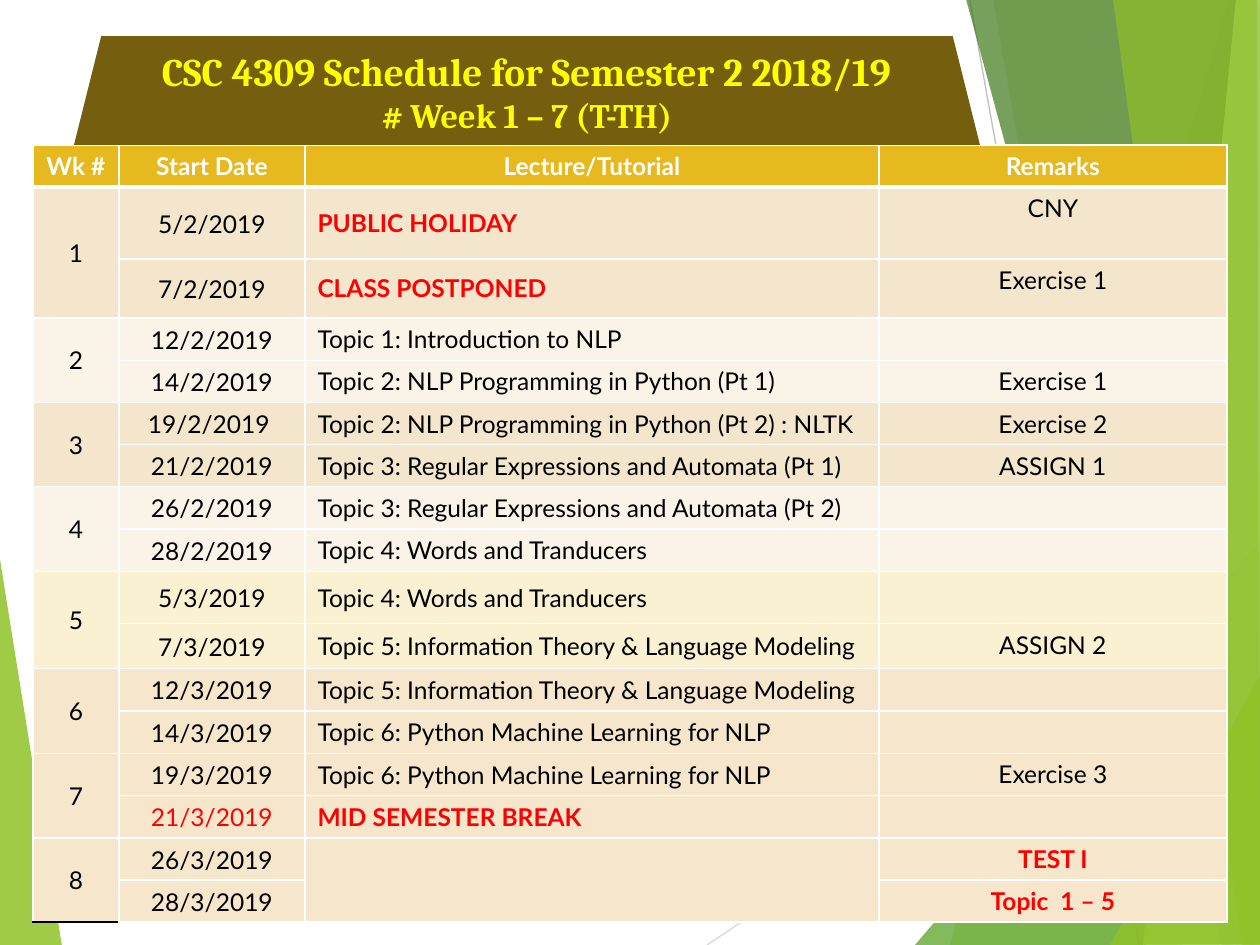
"""Build a course schedule slide with a table, a title banner and green facets."""
import pptx
import pptx.util
import pptx.dml.color
import pptx.enum.shapes
import pptx.enum.text
import pptx.oxml.ns
import lxml.etree

PX = 914400 / 126
GREEN, RED, BLACK, WHITE = "90C226", "FF0000", "000000", "FFFFFF"
TAN, CREAM, YELLOW = "F5E6CC", "FAF3E7", "FAF1D2"

FACETS_LEFT = [(GREEN, 85, [(-1, 553), (62, 946), (-1, 945)])]
LINES = [((707, 945), (1261, 576), "D9D9D9"), ((970, 0), (1139, 945), "BFBFBF")]
FACETS_RIGHT = [
    (GREEN, 30, [(1229, 0), (950, 945), (1262, 946), (1261, 1)]),
    (GREEN, 20, [(993, -1), (1158, 945), (1261, 945), (1261, -1)]),
    ("54A021", 72, [(915, 945), (1260, 541), (1261, 945)]),
    ("3F7819", 70, [(966, -1), (1222, 945), (1261, 944), (1261, -1)]),
    ("C0E474", 70, [(1236, -1), (1143, 945), (1261, 945), (1260, -1)]),
    (GREEN, 65, [(1113, -1), (1242, 945), (1260, 945), (1257, -1)]),
    (GREEN, 80, [(1110, 945), (1261, 674), (1261, 944)]),
]
TITLE = [("CSC 4309 Schedule for Semester 2 2018/19", 22.4), ("# Week 1 – 7 (T-TH)", 19.6)]
HEADER = ("Wk #", "Start Date", "Lecture/Tutorial", "Remarks")
WEEK_FILLS = ["F4E6CC", CREAM, "F4E6CC", CREAM, YELLOW, TAN, TAN, TAN]
SESSIONS = [
    ("5/2/2019", "PUBLIC HOLIDAY", "CNY"),
    ("7/2/2019", "CLASS POSTPONED", "Exercise 1"),
    ("12/2/2019", "Topic 1: Introduction to NLP", ""),
    ("14/2/2019", "Topic 2: NLP Programming in Python (Pt 1)", "Exercise 1"),
    ("19/2/2019 ", "Topic 2: NLP Programming in Python (Pt 2) : NLTK", "Exercise 2"),
    ("21/2/2019", "Topic 3: Regular Expressions and Automata (Pt 1)", "ASSIGN 1"),
    ("26/2/2019", "Topic 3: Regular Expressions and Automata (Pt 2)", ""),
    ("28/2/2019", "Topic 4: Words and Tranducers ", ""),
    ("5/3/2019", "Topic 4: Words and Tranducers ", ""),
    ("7/3/2019", "Topic 5: Information Theory & Language Modeling", "ASSIGN 2"),
    ("12/3/2019", "Topic 5: Information Theory & Language Modeling", ""),
    ("14/3/2019", "Topic 6: Python Machine Learning for NLP", ""),
    ("19/3/2019", "Topic 6: Python Machine Learning for NLP", "Exercise 3"),
    ("21/3/2019", "MID SEMESTER BREAK", ""),
    ("26/3/2019", "", "TEST I"),
    ("28/3/2019", "", "Topic  1 – 5"),
]
RED_BOLD = {"PUBLIC HOLIDAY", "CLASS POSTPONED", "MID SEMESTER BREAK", "TEST I", "Topic  1 – 5"}
RED_PLAIN = {"21/3/2019"}
COLS = [86, 186, 574, 348]
ROWS = [42, 72, 59] + [42] * 6 + [52, 45] + [42] * 6


def px(n):
    return pptx.util.Emu(round(n * PX))


def rgb(c):
    return pptx.dml.color.RGBColor.from_string(c)


def sub(parent, tag, **attrs):
    return lxml.etree.SubElement(parent, pptx.oxml.ns.qn(tag), attrs)


def fill(obj, c):
    obj.fill.solid()
    obj.fill.fore_color.rgb = rgb(c)


def add_run(p, text, size, font, c, bold):
    p.alignment = pptx.enum.text.PP_ALIGN.CENTER
    r = p.add_run()
    r.text = text
    r.font.size, r.font.name, r.font.bold = pptx.util.Pt(size), font, bold
    r.font.color.rgb = rgb(c)


def add_facet(s, c, alpha, pts):
    fb = s.shapes.build_freeform(*pts[0], scale=PX)
    fb.add_line_segments(pts[1:], close=True)
    sp = fb.convert_to_shape()
    sp.shadow.inherit = False
    fill(sp, c)
    sp.line.fill.background()
    clr = sp.fill._xPr.find(".//" + pptx.oxml.ns.qn("a:srgbClr"))
    sub(clr, "a:alpha", val=str(alpha * 1000))


def add_line(s, start, end, c):
    ln = s.shapes.add_connector(pptx.enum.shapes.MSO_CONNECTOR.STRAIGHT, *map(px, start + end))
    ln.line.color.rgb = rgb(c)
    ln.line.width = pptx.util.Pt(0.75)
    sub(ln._element.spPr, "a:effectLst")


def set_borders(cell, bottom, bottom_width):
    tcPr = cell._tc.get_or_add_tcPr()
    sides = [("L", WHITE, 1), ("R", WHITE, 1), ("T", WHITE, 1), ("B", bottom, bottom_width)]
    for i, (side, c, width) in enumerate(sides):
        ln = sub(tcPr, "a:ln" + side, w=str(width * 12700))
        sub(sub(ln, "a:solidFill"), "a:srgbClr", val=c)
        tcPr.insert(i, ln)


def set_cell(cell, text, row, col, c):
    fill(cell, c)
    black_end = col == 0 and row >= len(ROWS) - 2
    set_borders(cell, BLACK if black_end else WHITE, 3 if row == 0 else 1)
    if row and col < 3:
        cell.vertical_anchor = pptx.enum.text.MSO_ANCHOR.MIDDLE
    if row and col == 1:
        cell.margin_left = cell.margin_right = cell.margin_top = px(1)
        cell.margin_bottom = 0
    p = cell.text_frame.paragraphs[0]
    if not text:
        sub(p._p, "a:endParaRPr", sz="1400")
        return
    ink = WHITE if row == 0 else RED if text in RED_BOLD | RED_PLAIN else BLACK
    add_run(p, text, 14, "Lato", ink, row == 0 or text in RED_BOLD)
    if row and col == 2:
        p.alignment = pptx.enum.text.PP_ALIGN.LEFT


def add_schedule(s):
    frame = s.shapes.add_table(len(ROWS), len(COLS), px(33), px(145), px(sum(COLS)), px(sum(ROWS)))
    tbl = frame.table
    for col, w in zip(tbl.columns, COLS):
        col.width = px(w)
    for row, h in zip(tbl.rows, ROWS):
        row.height = px(h)
    weeks = [(str(i // 2 + 1) if i % 2 == 0 else "",) + row for i, row in enumerate(SESSIONS)]
    for i, row in enumerate([HEADER] + weeks):
        c = WEEK_FILLS[(i - 1) // 2] if i else "E6B91E"
        for j, text in enumerate(row):
            set_cell(tbl.cell(i, j), text, i, j, c)
    for i in range(1, len(ROWS), 2):
        tbl.cell(i, 0).merge(tbl.cell(i + 1, 0))
    tbl.cell(len(ROWS) - 2, 2).merge(tbl.cell(len(ROWS) - 1, 2))


def add_title(s):
    shape = pptx.enum.shapes.MSO_SHAPE.TRAPEZOID
    sp = s.shapes.add_shape(shape, px(74), px(36), px(906), px(109))
    sp.shadow.inherit = False
    fill(sp, "755E0D")
    sp.line.fill.background()
    tf = sp.text_frame
    tf.word_wrap = True
    tf.vertical_anchor = pptx.enum.text.MSO_ANCHOR.MIDDLE
    for i, (text, size) in enumerate(TITLE):
        p = tf.add_paragraph() if i else tf.paragraphs[0]
        add_run(p, text, size, "Cambria", "FFFF00", True)


prs = pptx.Presentation()
prs.slide_width, prs.slide_height = px(1260), px(945)
s = prs.slides.add_slide(prs.slide_layouts[6])
for facet in FACETS_LEFT:
    add_facet(s, *facet)
for line in LINES:
    add_line(s, *line)
for facet in FACETS_RIGHT:
    add_facet(s, *facet)
add_schedule(s)
add_title(s)
prs.save("out.pptx")
